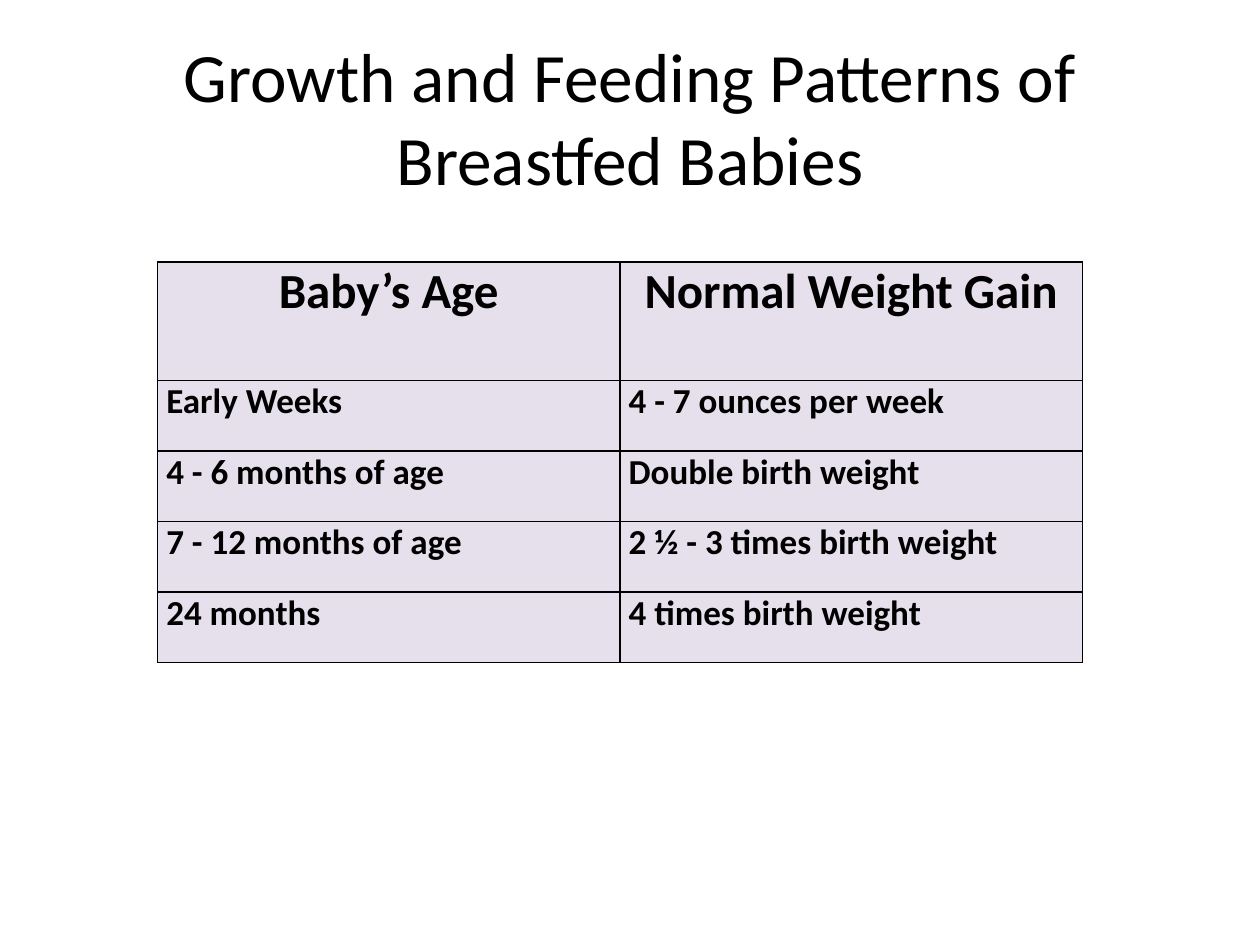
from lxml.etree import SubElement
from pptx import Presentation
from pptx.dml.color import RGBColor
from pptx.enum.text import MSO_ANCHOR, PP_ALIGN
from pptx.oxml.ns import qn
from pptx.util import Inches, Pt

COLORS = {"text": "000000", "border": "000000", "cell": "E6E0EC"}
FONT = "Calibri"
TITLE = "Growth and Feeding Patterns of Breastfed Babies"
WEIGHT_GAINS = [
    ("Baby’s Age", "Normal Weight Gain"),
    ("Early Weeks", "4 - 7 ounces per week"),
    ("4 - 6 months of age", "Double birth weight"),
    ("7 - 12 months of age", "2 ½ - 3 times birth weight"),
    ("24 months", "4 times birth weight"),
]
COLUMN_WIDTH = 3.67
HEADER_HEIGHT = 0.94
ROW_HEIGHT = 0.56


def write_text(text_frame, text, size, bold=False, align=PP_ALIGN.LEFT):
    paragraph = text_frame.paragraphs[0]
    paragraph.alignment = align
    run = paragraph.add_run()
    run.text = text
    run.font.name = FONT
    run.font.size = Pt(size)
    run.font.bold = bold
    run.font.color.rgb = RGBColor.from_string(COLORS["text"])


def add_title(slide):
    box = slide.shapes.add_textbox(Inches(0.5), Inches(0.3), Inches(9), Inches(1.25))
    text_frame = box.text_frame
    text_frame.word_wrap = True
    text_frame.vertical_anchor = MSO_ANCHOR.MIDDLE
    write_text(text_frame, TITLE, size=39.6, align=PP_ALIGN.CENTER)


def add_borders(cell):
    properties = cell._tc.get_or_add_tcPr()
    for side in ("a:lnL", "a:lnR", "a:lnT", "a:lnB"):
        line = SubElement(properties, qn(side), w=str(Pt(1)))
        fill = SubElement(line, qn("a:solidFill"))
        SubElement(fill, qn("a:srgbClr"), val=COLORS["border"])


def format_cell(cell):
    """Set margins, borders and fill; the borders must precede the fill in the XML."""
    cell.margin_left = cell.margin_right = Inches(0.07)
    cell.margin_top = cell.margin_bottom = 0
    add_borders(cell)
    cell.fill.solid()
    cell.fill.fore_color.rgb = RGBColor.from_string(COLORS["cell"])


def add_weight_table(slide):
    row_count, column_count = len(WEIGHT_GAINS), len(WEIGHT_GAINS[0])
    height = HEADER_HEIGHT + ROW_HEIGHT * (row_count - 1)
    table = slide.shapes.add_table(
        row_count, column_count, Inches(1.25), Inches(2.08),
        Inches(COLUMN_WIDTH * column_count), Inches(height),
    ).table
    table.horz_banding = False
    for column in table.columns:
        column.width = Inches(COLUMN_WIDTH)
    for row_index, (row, texts) in enumerate(zip(table.rows, WEIGHT_GAINS)):
        is_header = row_index == 0
        row.height = Inches(HEADER_HEIGHT if is_header else ROW_HEIGHT)
        for cell, text in zip(row.cells, texts):
            format_cell(cell)
            write_text(
                cell.text_frame, text, size=28 if is_header else 20, bold=True,
                align=PP_ALIGN.CENTER if is_header else PP_ALIGN.LEFT,
            )


def main():
    presentation = Presentation()
    presentation.slide_width = Inches(10)
    presentation.slide_height = Inches(7.5)
    slide = presentation.slides.add_slide(presentation.slide_layouts[6])
    add_title(slide)
    add_weight_table(slide)
    presentation.save("out.pptx")


if __name__ == "__main__":
    main()
